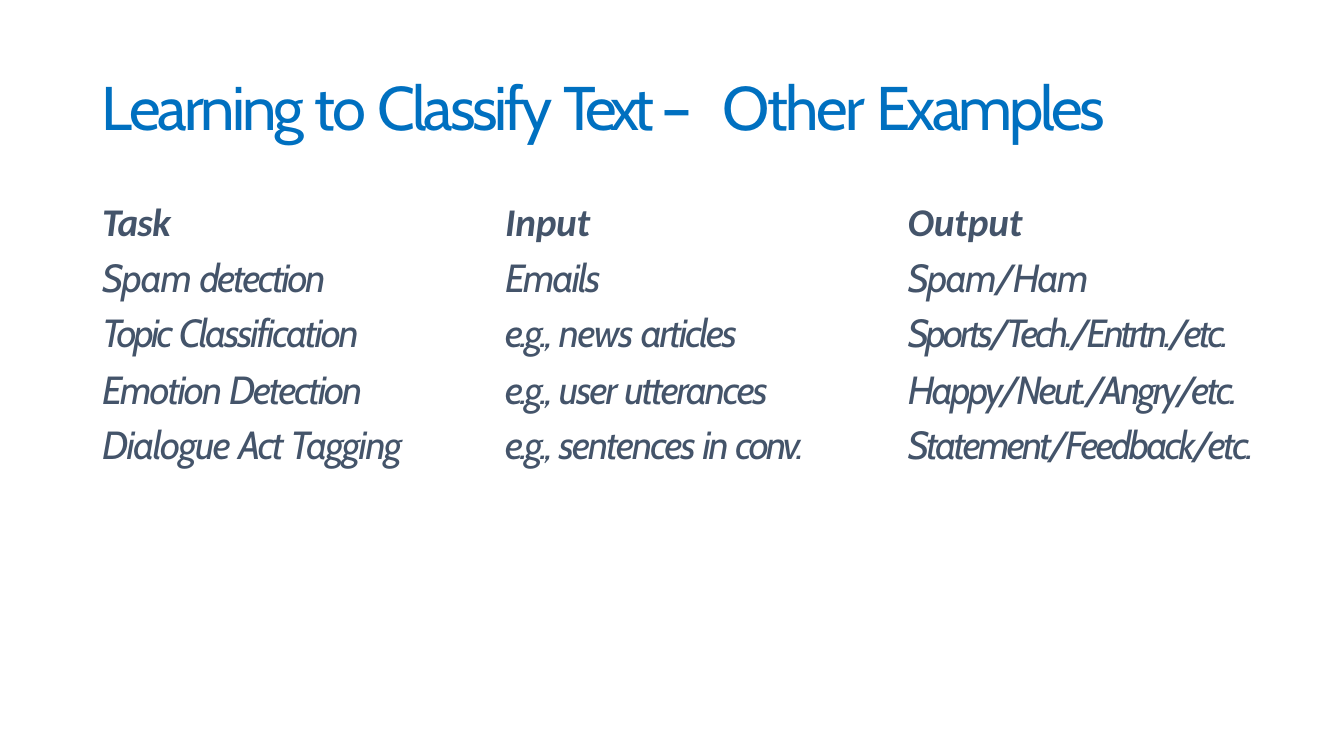
from pptx import Presentation
from pptx.dml.color import RGBColor
from pptx.enum.text import MSO_ANCHOR
from pptx.util import Emu, Pt

TOP = MSO_ANCHOR.TOP
BLUE = RGBColor(0x00, 0x70, 0xC0)
SLATE = RGBColor(0x44, 0x54, 0x6A)
HEAD_FONT, BODY_FONT = "Calibri", "Cabin"

# Content: each text is a list of (words, letter spacing in points)
TITLE = [("Learning ", -2.2), ("to ", -2), ("Classify ", -2.3), ("Text ", -4.5),
         ("– ", 5.8), ("Other ", -1.9), ("Examples", -2.4)]
EXAMPLE = ("e.g., ", -2.2)
ROWS = [
    [[("Task", -0.6)], [("Input", -0.1)], [("Output", -0.1)]],
    [[("Spam ", -0.9), ("detection", -1.7)],
     [("Emails", -1.4)],
     [("Spam/Ham", -1.2)]],
    [[("Topic ", -2.1), ("Classification", -1.6)],
     [EXAMPLE, ("news ", -1.1), ("articles", -1.6)],
     [("Sports/Tech./Entrtn./etc.", -2.2)]],
    [[("Emotion ", -1.4), ("Detection", -1.6)],
     [EXAMPLE, ("user ", -1.4), ("utterances", -1.6)],
     [("Happy/Neut./Angry/etc.", -1.9)]],
    [[("Dialogue ", -1.1), ("Act ", -1.6), ("Tagging", -1.1)],
     [EXAMPLE, ("sentences ", -1.4), ("in ", -1.6), ("conv.", -2)],
     [("Statement/Feedback/etc.", -1.9)]],
]

# Layout in px
TITLE_BOX = (101, 68, 1041, 77)
TABLE_LEFT, TABLE_TOP = 99, 202
COLUMNS = [(373, 3), (415, 33), (426, 21)]  # width, text indent
ROW_LAYOUT = [(51, 0, 0), (55, 2, 1.5), (56, 2, 1.6), (56, 3, 2.1), (52, 2, 1.6)]  # height, inset, points before


def px(length):
    return Emu(round(length * 914400 / 100.8))


def add_runs(paragraph, pieces, font_name, size, color, bold=False, italic=False):
    for words, spacing in pieces:
        run = paragraph.add_run()
        run.text = words
        font = run.font
        font.name, font.size = font_name, Pt(size)
        font.bold, font.italic = bold, italic
        font.color.rgb = color
        run._r.get_or_add_rPr().set("spc", str(round(spacing * 100)))


def set_margins(target, top):
    target.margin_left = target.margin_right = target.margin_bottom = 0
    target.margin_top = px(top)
    target.vertical_anchor = TOP


presentation = Presentation()
presentation.slide_width, presentation.slide_height = px(1344), px(756)
slide = presentation.slides.add_slide(presentation.slide_layouts[6])

# Title
title_frame = slide.shapes.add_textbox(*map(px, TITLE_BOX)).text_frame
title_frame.word_wrap = True
set_margins(title_frame, 1)
title_paragraph = title_frame.paragraphs[0]
title_paragraph.space_before = Pt(1)
title_paragraph._p.get_or_add_pPr().set("marL", str(px(1)))
add_runs(title_paragraph, TITLE, BODY_FONT, 44, BLUE)

# Table of tasks
table_width = sum(width for width, _ in COLUMNS)
table_height = sum(height for height, _, _ in ROW_LAYOUT)
table = slide.shapes.add_table(len(ROWS), len(COLUMNS), px(TABLE_LEFT), px(TABLE_TOP),
                               px(table_width), px(table_height)).table
table.first_row = table.horz_banding = False
for column, (width, _) in zip(table.columns, COLUMNS):
    column.width = px(width)

for row_index, (row, (height, inset, before)) in enumerate(zip(ROWS, ROW_LAYOUT)):
    table.rows[row_index].height = px(height)
    is_head = row_index == 0
    for column_index, (pieces, (_, indent)) in enumerate(zip(row, COLUMNS)):
        cell = table.cell(row_index, column_index)
        cell.fill.background()
        set_margins(cell, inset)
        paragraph = cell.text_frame.paragraphs[0]
        paragraph._p.get_or_add_pPr().set("marL", str(px(indent)))
        if is_head:
            paragraph.line_spacing = Pt(32.2)
        else:
            paragraph.space_before = Pt(before)
        add_runs(paragraph, pieces, HEAD_FONT if is_head else BODY_FONT, 28, SLATE,
                 bold=is_head, italic=True)

presentation.save("out.pptx")
